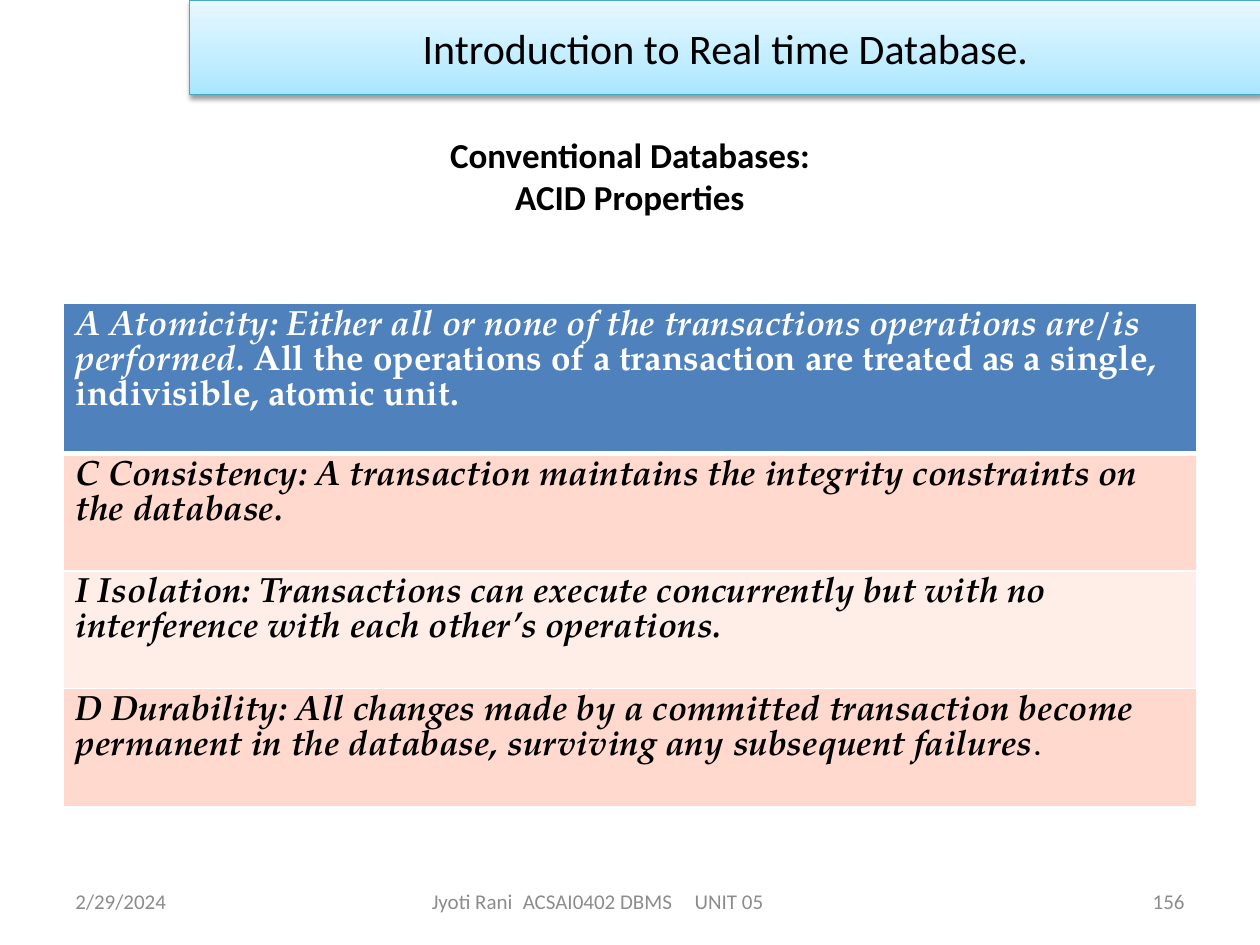
from dataclasses import dataclass

import pptx
import pptx.dml.color
import pptx.enum.shapes
import pptx.enum.text
import pptx.oxml
import pptx.oxml.ns
import pptx.util

Pt = pptx.util.Pt
ALIGN = pptx.enum.text.PP_ALIGN
BODY_FONT = "Calibri"
TABLE_FONT = "TeX Gyre Pagella"
COLORS = {
    "white": "FFFFFF",
    "black": "000000",
    "footer": "8C8C8C",
    "header": "4F81BD",
    "dark_band": "FFD9CE",
    "light_band": "FFEDE8",
    "banner_line": "46AAC5",
    "banner_low": "A7E6FF",
    "banner_middle": "C1EDFF",
    "banner_high": "E7F8FF",
}


@dataclass
class Span:
    text: str
    font: str = BODY_FONT
    size: float = 20
    color: str = "black"
    bold: bool = False
    italic: bool = False


@dataclass
class Label:
    left: float
    top: float
    width: float
    height: float
    lines: list[Span]
    align: ALIGN
    inset: float = 7.2
    tabs: tuple[float, ...] = ()


@dataclass
class Row:
    height: float
    fill: str
    top_line: float
    bottom_line: float
    spans: list[Span]


def rgb(name: str) -> pptx.dml.color.RGBColor:
    return pptx.dml.color.RGBColor.from_string(COLORS[name])


def element(xml: str):
    namespace = pptx.oxml.ns.nsdecls("a")
    return pptx.oxml.parse_xml(xml.replace(" ", f" {namespace} ", 1))


def add_span(para, span: Span) -> None:
    run = para.add_run()
    run.text = span.text
    run.font.name = span.font
    run.font.size = Pt(span.size)
    run.font.bold = span.bold
    run.font.italic = span.italic
    run.font.color.rgb = rgb(span.color)


def add_label(page, label: Label) -> None:
    box = page.shapes.add_textbox(Pt(label.left), Pt(label.top), Pt(label.width), Pt(label.height))
    frame = box.text_frame
    frame.word_wrap = True
    frame.margin_left = Pt(label.inset)
    frame.vertical_anchor = pptx.enum.text.MSO_ANCHOR.MIDDLE
    para = frame.paragraphs[0]
    para.alignment = label.align
    if label.tabs:
        stops = "".join(f'<a:tab pos="{Pt(stop)}" algn="l"/>' for stop in label.tabs)
        para._p.get_or_add_pPr().append(element(f"<a:tabLst >{stops}</a:tabLst>"))
    for index, span in enumerate(label.lines):
        if index:
            para.add_line_break()
        add_span(para, span)


def add_banner(page, span: Span) -> None:
    banner = page.shapes.add_shape(
        pptx.enum.shapes.MSO_SHAPE.RECTANGLE, Pt(108.5), Pt(0), Pt(612), Pt(54)
    )
    banner.line.color.rgb = rgb("banner_line")
    banner.line.width = Pt(0.75)
    banner.shadow.inherit = False
    properties = banner._element.spPr
    stops = "".join(
        f'<a:gs pos="{position * 1000}"><a:srgbClr val="{COLORS[name]}"/></a:gs>'
        for position, name in ((0, "banner_low"), (35, "banner_middle"), (100, "banner_high"))
    )
    properties.find(pptx.oxml.ns.qn("a:prstGeom")).addnext(
        element(f'<a:gradFill rotWithShape="1"><a:gsLst>{stops}</a:gsLst>'
                '<a:lin ang="16200000" scaled="1"/></a:gradFill>')
    )
    properties.find(pptx.oxml.ns.qn("a:effectLst")).append(
        element(f'<a:outerShdw blurRad="{Pt(3.1)}" dist="{Pt(1.6)}" dir="5400000" rotWithShape="0">'
                f'<a:srgbClr val="{COLORS["black"]}"><a:alpha val="38000"/></a:srgbClr></a:outerShdw>')
    )
    banner.text_frame.vertical_anchor = pptx.enum.text.MSO_ANCHOR.MIDDLE
    para = banner.text_frame.paragraphs[0]
    para.alignment = ALIGN.CENTER
    add_span(para, span)


def add_properties_table(page, rows: list[Row]) -> None:
    height = sum(row.height for row in rows)
    table = page.shapes.add_table(len(rows), 1, Pt(36), Pt(173.5), Pt(648), Pt(height)).table
    for index, row in enumerate(rows):
        table.rows[index].height = Pt(row.height)
        cell = table.cell(index, 0)
        cell.fill.solid()
        cell.fill.fore_color.rgb = rgb(row.fill)
        borders = {"L": 1, "R": 1, "T": row.top_line, "B": row.bottom_line}
        for position, (side, width) in enumerate(borders.items()):
            border = element(
                f'<a:ln{side} w="{Pt(width)}"><a:solidFill><a:srgbClr val="{COLORS["white"]}"/>'
                f'</a:solidFill></a:ln{side}>'
            )
            cell._tc.get_or_add_tcPr().insert(position, border)
        para = cell.text_frame.paragraphs[0]
        para.line_spacing = Pt(20)
        for span in row.spans:
            add_span(para, span)


def property_span(text: str, color: str = "black", bold: bool = True, italic: bool = True) -> Span:
    return Span(text, TABLE_FONT, 20, color, bold, italic)


def footer_label(left: float, width: float, text: str, align: ALIGN, **layout) -> Label:
    return Label(left, 500.5, width, 28.75, [Span(text, size=12, color="footer")], align, **layout)


ROWS = [
    Row(85.5, "header", 1, 3, [
        property_span("A Atomicity: Either all or none of the transactions operations are/is performed. ", "white"),
        property_span("All the operations of a transaction are treated as a single, indivisible, atomic unit.",
                      "white", italic=False),
    ]),
    Row(67.25, "dark_band", 3, 1, [
        property_span("C Consistency: A transaction maintains the integrity constraints on the database."),
    ]),
    Row(67.25, "light_band", 1, 1, [
        property_span("I Isolation: Transactions can execute concurrently but with no interference "
                      "with each other’s operations."),
    ]),
    Row(67.25, "dark_band", 1, 1, [
        property_span("D Durability: All changes made by a committed transaction become permanent "
                      "in the database, surviving any subsequent failures"),
        property_span(".", bold=False, italic=False),
    ]),
]

LABELS = [
    Label(36, 55.5, 648, 90,
          [Span("Conventional Databases:", bold=True), Span("ACID Properties", bold=True)], ALIGN.CENTER),
    footer_label(36, 168, "2/29/2024", ALIGN.LEFT),
    footer_label(210, 264, "Jyoti Rani\tACSAI0402 DBMS\tUNIT 05", ALIGN.LEFT, inset=36.75, tabs=(52, 150.25)),
    footer_label(624, 60, "156", ALIGN.RIGHT),
]


def main() -> None:
    deck = pptx.Presentation()
    deck.slide_width = Pt(720)
    deck.slide_height = Pt(540)
    page = deck.slides.add_slide(deck.slide_layouts[6])
    add_properties_table(page, ROWS)
    add_banner(page, Span("Introduction to Real time Database.", size=24))
    for label in LABELS:
        add_label(page, label)
    deck.save("out.pptx")


if __name__ == "__main__":
    main()
